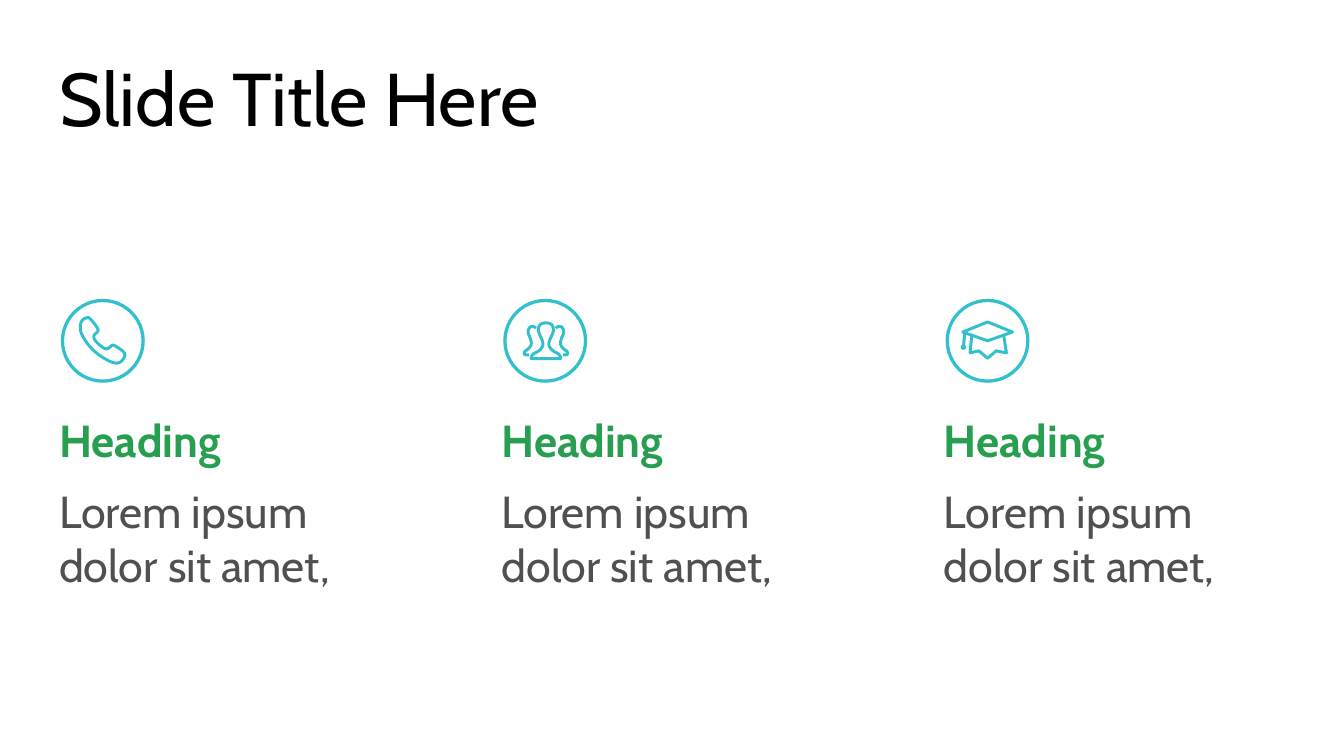
from dataclasses import dataclass

from lxml import etree
from pptx import Presentation
from pptx.dml.color import RGBColor
from pptx.enum.shapes import MSO_SHAPE
from pptx.enum.text import MSO_ANCHOR, MSO_AUTO_SIZE, PP_ALIGN
from pptx.oxml.ns import qn
from pptx.util import Pt

OVAL = MSO_SHAPE.OVAL
TOP, MIDDLE = MSO_ANCHOR.TOP, MSO_ANCHOR.MIDDLE
FIXED = MSO_AUTO_SIZE.NONE
LEFT = PP_ALIGN.LEFT


@dataclass(frozen=True)
class Theme:
    font: str = "Cabin"
    title: RGBColor = RGBColor(0, 0, 0)
    head: RGBColor = RGBColor(0x28, 0x9E, 0x51)
    body: RGBColor = RGBColor(0x50, 0x50, 0x50)
    icon: RGBColor = RGBColor(0x33, 0xC0, 0xCD)
    big: int = 40
    text: int = 24
    ring: float = 1.75
    pen: float = 1.6


THEME = Theme()
UNIT = 0.72
RING = 43.2


def place(shape, x, y, w, h):
    shape.left, shape.top, shape.width, shape.height = Pt(x), Pt(y), Pt(w), Pt(h)


def write(holder, box, text, size, color, bold=False, anchor=TOP):
    place(holder, *box)
    frame = holder.text_frame
    frame.word_wrap = True
    frame.auto_size = FIXED
    frame.vertical_anchor = anchor
    para = frame.paragraphs[0]
    para.text = text
    props = para._p.get_or_add_pPr()
    props.set("marL", "0")
    props.set("indent", "0")
    etree.SubElement(props, qn("a:buNone"))
    para.alignment = LEFT
    para.space_before = Pt(0)
    font = para.font
    font.name, font.size, font.bold = THEME.font, Pt(size), bold
    font.color.rgb = color
    return para


def stroke(shape, width):
    shape.shadow.inherit = False
    shape.fill.background()
    shape.line.color.rgb = THEME.icon
    shape.line.width = Pt(width)


def soften(points, closed):
    for _ in range(3):
        pairs = list(zip(points, points[1:] + points[:1] if closed else points[1:]))
        cut = [
            (a[0] * (1 - t) + b[0] * t, a[1] * (1 - t) + b[1] * t)
            for a, b in pairs
            for t in (0.25, 0.75)
        ]
        points = cut if closed else [points[0], *cut, points[-1]]
    return points


def trace(shapes, x, y, points, closed=True, soft=True):
    if soft:
        points = soften(points, closed)
    grid = [(100 * a, 100 * b) for a, b in points]
    pen = shapes.build_freeform(*grid[0], scale=Pt(UNIT) / 100)
    pen.add_line_segments(grid[1:], close=closed)
    stroke(pen.convert_to_shape(Pt(x), Pt(y)), THEME.pen)


def draw_phone(shapes, x, y):
    trace(shapes, x, y, [
        (13, 20), (14, 15), (18, 12.5), (20.5, 13), (27, 21.5), (26, 23.5),
        (23, 26), (24, 30), (31, 36), (34, 36), (37, 33), (39, 33.5),
        (47, 39), (46, 43), (42, 47), (36, 46), (26, 40), (19, 33), (14, 25),
    ])


def draw_team(shapes, x, y):
    half = [
        (30.5, 16.5), (35, 17.5), (36.5, 22), (34.5, 27), (33, 30),
        (32.5, 34), (36, 38), (40, 39.5), (42, 43.3), (40, 43.3),
    ]
    trace(shapes, x, y, half + [(61 - a, b) for a, b in reversed(half[1:])])
    side = [
        (38, 20.5), (40, 19), (43, 20), (44, 24), (42, 28), (41, 33),
        (44, 36.5), (46.5, 38), (46.7, 40.5), (43.2, 40.5),
    ]
    for flip in (False, True):
        trace(shapes, x, y, [(61 - a if flip else a, b) for a, b in side], False)


def draw_cap(shapes, x, y):
    trace(shapes, x, y, [(30, 16), (48.5, 23.5), (30, 30), (11.5, 23.5)], soft=False)
    trace(shapes, x, y, [
        (18.2, 26), (17, 39), (23.5, 37.5), (30, 43),
        (36.5, 37.5), (44, 39), (42, 26),
    ], False, False)
    trace(shapes, x, y, [(13, 24.5), (12, 34)], False, False)
    dot = shapes.add_shape(OVAL, Pt(x + 7.6), Pt(y + 24), Pt(2), Pt(2))
    stroke(dot, THEME.pen / 2)
    dot.fill.solid()
    dot.fill.fore_color.rgb = THEME.icon


def add_title(slide, box):
    para = write(slide.shapes.title, box, "Slide Title Here",
                 THEME.big, THEME.title, anchor=MIDDLE)
    para.line_spacing = Pt(35)


def add_column(slide, box, holders, draw):
    x, y, w, h = box
    head, body = holders
    write(head, (x, y + 56.5, w, 31), "Heading", THEME.text, THEME.head, True)
    write(body, (x, y + 94.5, w, h - 94.5), "Lorem ipsum dolor sit amet,",
          THEME.text, THEME.body)
    left = x + 9
    draw(slide.shapes, left, y)
    ring = slide.shapes.add_shape(OVAL, Pt(left), Pt(y), Pt(RING), Pt(RING))
    stroke(ring, THEME.ring)


def main():
    deck = Presentation()
    deck.slide_width, deck.slide_height = Pt(720), Pt(405)
    layout = deck.slide_layouts[1]
    slide = deck.slides.add_slide(layout)
    draws = (draw_phone, draw_team, draw_cap)
    for _ in range(2 * len(draws) - 1):
        slide.shapes.clone_placeholder(layout.placeholders[1])
    bodies = list(slide.placeholders)[1:]
    add_title(slide, (24.5, 34.5, 662.5, 48))
    for i, draw in enumerate(draws):
        box = (24.5 + 237 * i, 161, 170, 192)
        add_column(slide, box, bodies[2 * i:2 * i + 2], draw)
    deck.save("out.pptx")


if __name__ == "__main__":
    main()
